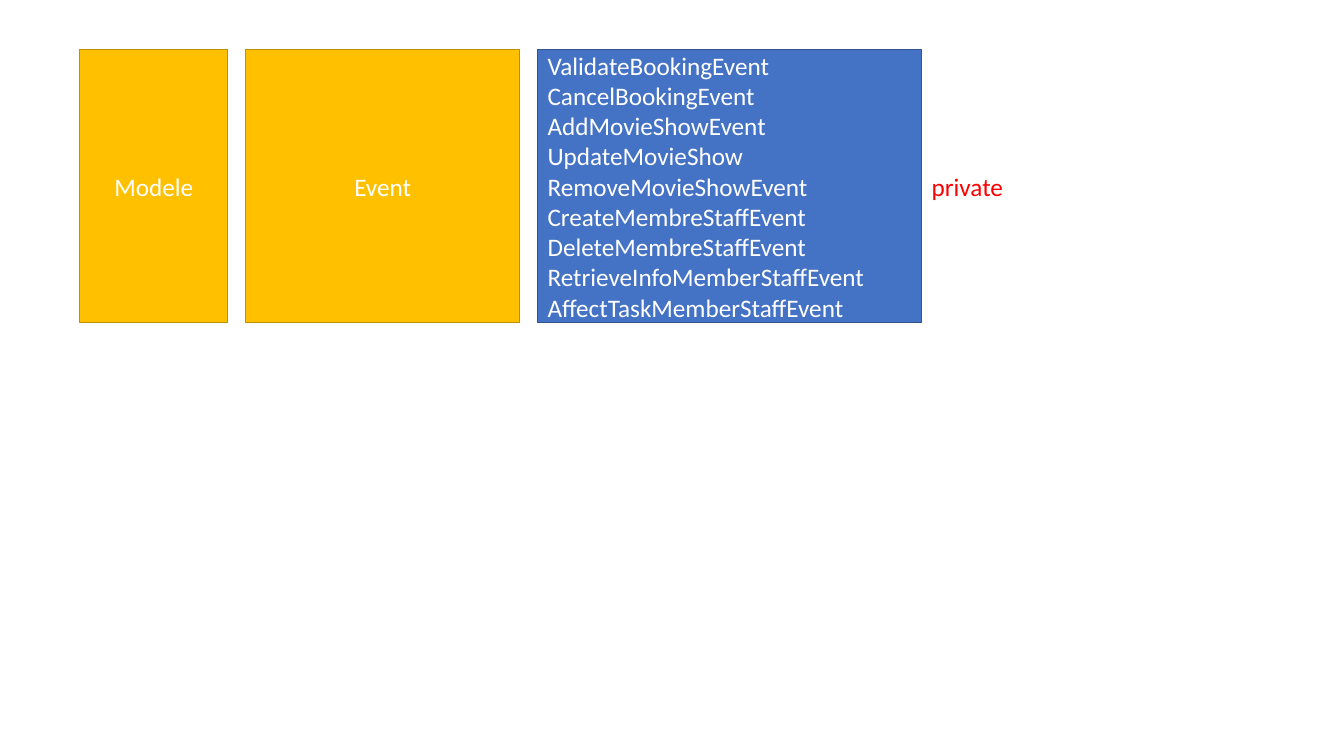
"""Build a slide that lists the private events of the model."""
import pptx
import pptx.dml.color
import pptx.enum.shapes
import pptx.enum.text
import pptx.util

Cm = pptx.util.Cm
RGBColor = pptx.dml.color.RGBColor
PP_ALIGN = pptx.enum.text.PP_ALIGN

WHITE = RGBColor(0xFF, 0xFF, 0xFF)
RED = RGBColor(0xFF, 0x00, 0x00)
GOLD = RGBColor(0xFF, 0xC0, 0x00)
DARK_GOLD = RGBColor(0xBF, 0x90, 0x00)
BLUE = RGBColor(0x44, 0x72, 0xC4)
DARK_BLUE = RGBColor(0x32, 0x54, 0x91)

LEFT, TOP, HEIGHT, GAP = Cm(2.01), Cm(1.25), Cm(6.88), Cm(0.45)
EVENTS = [
    "ValidateBookingEvent",
    "CancelBookingEvent",
    "AddMovieShowEvent",
    "UpdateMovieShow",
    "RemoveMovieShowEvent",
    "CreateMembreStaffEvent",
    "DeleteMembreStaffEvent",
    "RetrieveInfoMemberStaffEvent",
    "AffectTaskMemberStaffEvent",
]
BOXES = [
    (3.73, ["Modele"], GOLD, DARK_GOLD, PP_ALIGN.CENTER),
    (6.91, ["Event"], GOLD, DARK_GOLD, PP_ALIGN.CENTER),
    (9.68, EVENTS, BLUE, DARK_BLUE, PP_ALIGN.LEFT),
]


def write_lines(tf, lines, color, align):
    """Fill a text frame with one paragraph per line."""
    tf.word_wrap = True
    for i, line in enumerate(lines):
        p = tf.add_paragraph() if i else tf.paragraphs[0]
        p.text = line
        p.alignment = align
        p.font.name = "Calibri"
        p.font.size = pptx.util.Pt(18)
        p.font.color.rgb = color


def add_box(slide, left, width, lines, fill, border, align):
    """Add a bordered rectangle with white text."""
    sp = slide.shapes.add_shape(
        pptx.enum.shapes.MSO_SHAPE.RECTANGLE, left, TOP, width, HEIGHT)
    sp.shadow.inherit = False
    sp.fill.solid()
    sp.fill.fore_color.rgb = fill
    sp.line.color.rgb = border
    sp.line.width = pptx.util.Pt(1)
    sp.text_frame.vertical_anchor = pptx.enum.text.MSO_ANCHOR.MIDDLE
    write_lines(sp.text_frame, lines, WHITE, align)
    return sp


def add_label(slide, left, text):
    """Add a red label centred on the height of the boxes."""
    width, height = Cm(7.8), Cm(1.02)
    top = TOP + (HEIGHT - height) // 2
    tf = slide.shapes.add_textbox(left, top, width, height).text_frame
    tf.auto_size = pptx.enum.text.MSO_AUTO_SIZE.SHAPE_TO_FIT_TEXT
    write_lines(tf, [text], RED, PP_ALIGN.LEFT)


def main():
    """Lay out the boxes from left to right and save the slide."""
    prs = pptx.Presentation()
    prs.slide_width, prs.slide_height = Cm(33.87), Cm(19.05)
    s = prs.slides.add_slide(prs.slide_layouts[6])
    left = LEFT
    for width, *content in BOXES:
        sp = add_box(s, left, Cm(width), *content)
        left += sp.width + GAP
    add_label(s, sp.left + sp.width, "private")
    prs.save("out.pptx")


if __name__ == "__main__":
    main()
